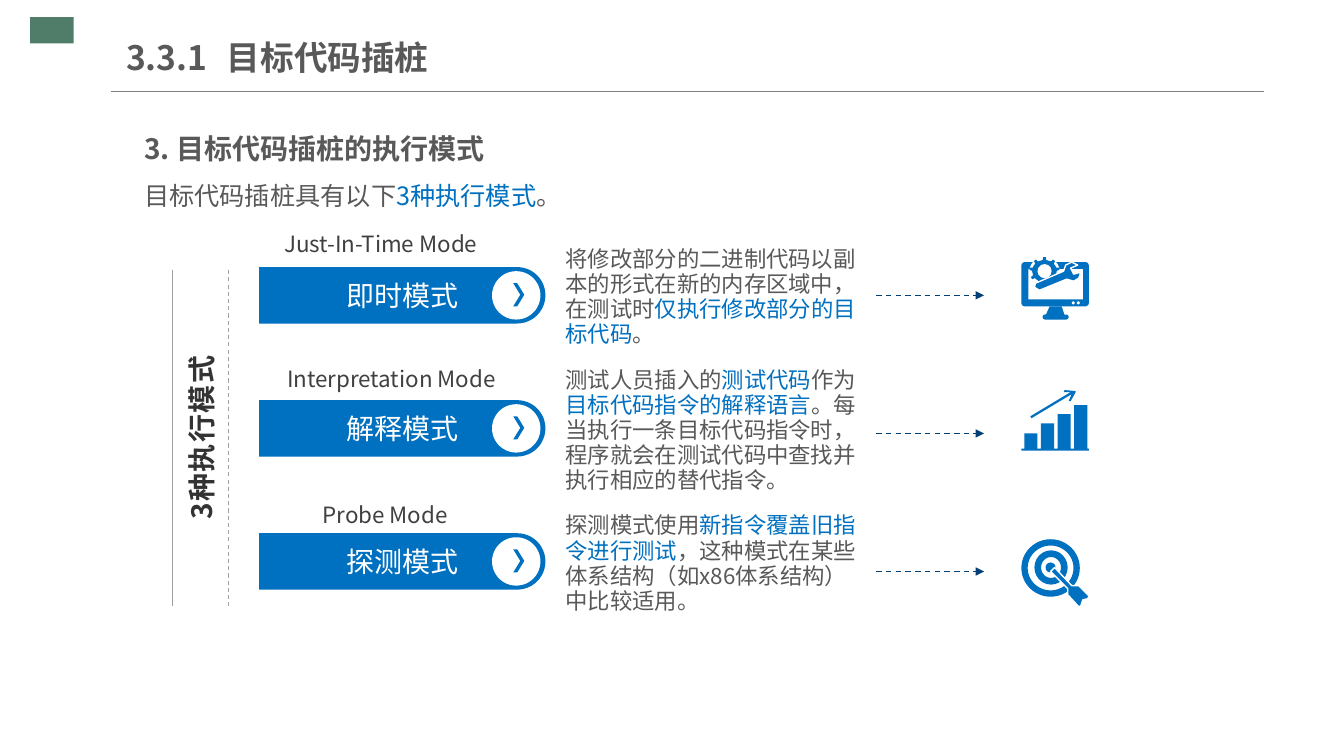
from dataclasses import dataclass
from math import cos, pi, sin
from typing import NamedTuple

from lxml.etree import SubElement
from pptx import Presentation
from pptx.dml.color import RGBColor
from pptx.enum.dml import MSO_LINE
from pptx.enum.shapes import MSO_CONNECTOR, MSO_SHAPE
from pptx.enum.text import MSO_ANCHOR, MSO_AUTO_SIZE, PP_ALIGN
from pptx.oxml.ns import qn
from pptx.util import Inches, Pt


@dataclass(frozen=True)
class Theme:
    font: str = "Noto Sans CJK SC"
    blue: str = "0070C0"
    body: str = "595959"
    label: str = "404040"
    side: str = "333333"
    white: str = "FFFFFF"
    green: str = "4F7D6A"
    rule: str = "808080"
    side_rule: str = "A0A0A0"
    arrow: str = "014076"
    title_size: int = 24
    heading_size: int = 20
    intro_size: int = 18
    text_size: int = 16


THEME = Theme()


class Box(NamedTuple):
    left: float
    top: float
    width: float
    height: float

    def inset(self, left, top, width, height):
        """Return a box placed relative to this one."""
        return Box(self.left + left, self.top + top, width, height)

    def lengths(self):
        return [Inches(value) for value in self]


def paint(shape, fill, outline=None):
    shape.shadow.inherit = False
    shape.fill.solid()
    shape.fill.fore_color.rgb = RGBColor.from_string(fill)
    if outline:
        shape.line.color.rgb = RGBColor.from_string(outline)
        shape.line.width = Pt(1)
    else:
        shape.line.fill.background()


def add_preset(slide, preset, box, fill, adjustment=None):
    shape = slide.shapes.add_shape(preset, *box.lengths())
    if adjustment is not None:
        shape.adjustments[0] = adjustment
    paint(shape, fill)
    return shape


def add_polygons(slide, box, outlines, fill, outline_color=None):
    """Draw closed outlines as one shape; points are relative to the box corner."""
    builder = None
    for outline in outlines:
        start, *rest = [(Inches(box.left + x), Inches(box.top + y)) for x, y in outline]
        if builder is None:
            builder = slide.shapes.build_freeform(*start)
        else:
            builder.move_to(*start)
        builder.add_line_segments(rest, close=True)
    shape = builder.convert_to_shape()
    paint(shape, fill, outline_color)
    return shape


def add_line(slide, start, end, color, width, dashed=False, head=None):
    points = [Inches(value) for value in (*start, *end)]
    connector = slide.shapes.add_connector(MSO_CONNECTOR.STRAIGHT, *points)
    connector.line.color.rgb = RGBColor.from_string(color)
    connector.line.width = Pt(width)
    if dashed:
        connector.line.dash_style = MSO_LINE.DASH
    properties = connector._element.spPr
    if head:
        SubElement(properties.find(qn("a:ln")), qn("a:tailEnd"), type=head)
    SubElement(properties, qn("a:effectLst"))


def set_margins(frame, horizontal, vertical):
    frame.margin_left = frame.margin_right = Inches(horizontal)
    frame.margin_top = frame.margin_bottom = Inches(vertical)


def write(paragraph, pieces, size, color, bold=False, align=PP_ALIGN.LEFT):
    """Fill a paragraph; every second piece is highlighted in blue."""
    paragraph.alignment = align
    font = paragraph.font
    font.size, font.bold = Pt(size), bold
    font.color.rgb = RGBColor.from_string(color)
    font.name = THEME.font
    defaults = paragraph._p.pPr.find(qn("a:defRPr"))
    SubElement(defaults, qn("a:ea"), typeface=THEME.font)
    for index, piece in enumerate(pieces):
        run = paragraph.add_run()
        run.text = piece
        if index % 2:
            run.font.color.rgb = RGBColor.from_string(THEME.blue)
    return defaults


def add_text_frame(slide, box, anchor=MSO_ANCHOR.TOP):
    frame = slide.shapes.add_textbox(*box.lengths()).text_frame
    frame.word_wrap = True
    frame.vertical_anchor = anchor
    return frame


def add_header(slide, box):
    add_preset(slide, MSO_SHAPE.RECTANGLE, Box(0.3, 0.17, 0.43, 0.26), THEME.green)
    add_line(slide, (1.1, 0.91), (12.54, 0.91), THEME.rule, 0.75)
    title = slide.shapes.title
    title.left, title.top, title.width, title.height = box.lengths()
    frame = title.text_frame
    frame.auto_size = MSO_AUTO_SIZE.NONE
    frame.vertical_anchor = MSO_ANCHOR.MIDDLE
    set_margins(frame, 0, 0.07)
    write(frame.paragraphs[0], ["3.3.1\t目标代码插桩"], THEME.title_size, THEME.body, bold=True)


def add_intro(slide, box):
    frame = add_text_frame(slide, box)
    set_margins(frame, 0.13, 0.07)
    heading, sentence = frame.paragraphs[0], frame.add_paragraph()
    write(heading, ["3. 目标代码插桩的执行模式"], THEME.heading_size, THEME.body, True, PP_ALIGN.JUSTIFY)
    write(sentence, ["目标代码插桩具有以下", "3种执行模式", "。"], THEME.intro_size, THEME.body,
          align=PP_ALIGN.JUSTIFY)
    heading.line_spacing = sentence.line_spacing = 1.5


def add_side_title(slide, box):
    bottom = box.top + box.height
    for x, dashed in ((box.left, False), (box.left + box.width, True)):
        add_line(slide, (x, box.top), (x, bottom), THEME.side_rule, 0.75, dashed)
    frame = add_text_frame(slide, box.inset(0.02, 0.34, 0.54, 2.64), MSO_ANCHOR.MIDDLE)
    set_margins(frame, 0, 0)
    frame._txBody.bodyPr.set("vert", "vert270")
    defaults = write(frame.paragraphs[0], ["3种执行模式"], THEME.heading_size, THEME.side, True, PP_ALIGN.CENTER)
    defaults.set("spc", "100")


def add_button(slide, box, text):
    """Draw a bar with a round right end and a chevron badge."""
    radius, steps = box.height / 2, 24
    center = box.width - radius
    angles = [pi * step / steps - pi / 2 for step in range(steps + 1)]
    arc = [(center + radius * cos(angle), radius + radius * sin(angle)) for angle in angles]
    bar = add_polygons(slide, box, [[(0, 0), *arc, (0, box.height)]], THEME.blue)
    set_margins(bar.text_frame, 0, 0)
    bar.text_frame.vertical_anchor = MSO_ANCHOR.MIDDLE
    write(bar.text_frame.paragraphs[0], [text], THEME.heading_size, THEME.white, align=PP_ALIGN.CENTER)
    badge = box.inset(2.31, 0.04, 0.48, 0.48)
    add_preset(slide, MSO_SHAPE.OVAL, badge, THEME.white)
    add_preset(slide, MSO_SHAPE.CHEVRON, badge.inset(0.21, 0.12, 0.11, 0.23), THEME.blue, 0.64)


def add_monitor_icon(slide, box):
    add_preset(slide, MSO_SHAPE.ROUNDED_RECTANGLE, box.inset(0, 0.05, 0.67, 0.44), THEME.blue, 0.08)
    add_preset(slide, MSO_SHAPE.RECTANGLE, box.inset(0.07, 0.12, 0.54, 0.3), THEME.white)
    add_polygons(slide, box, [[(0.28, 0.49), (0.4, 0.49), (0.43, 0.58), (0.24, 0.58)]], THEME.blue)
    add_preset(slide, MSO_SHAPE.ROUNDED_RECTANGLE, box.inset(0.21, 0.57, 0.26, 0.05), THEME.blue, 0.5)
    for x in (0.5, 0.55):
        add_preset(slide, MSO_SHAPE.OVAL, box.inset(x, 0.44, 0.03, 0.03), THEME.white)
    gear = box.inset(0.08, 0, 0.3, 0.28)
    add_preset(slide, MSO_SHAPE.OVAL, gear, THEME.white)
    add_preset(slide, MSO_SHAPE.GEAR_9, gear, THEME.blue)
    add_preset(slide, MSO_SHAPE.OVAL, gear.inset(0.08, 0.07, 0.14, 0.14), THEME.white)
    wrench = [(0.14, 0.26), (0.42, 0.14), (0.44, 0.08), (0.5, 0.05), (0.56, 0.08), (0.49, 0.11), (0.52, 0.17),
              (0.59, 0.15), (0.57, 0.21), (0.52, 0.24), (0.45, 0.22), (0.18, 0.33), (0.13, 0.3)]
    add_polygons(slide, box, [wrench], THEME.blue, THEME.white)


def add_growth_icon(slide, box):
    base, bottom = 0.58, 0.6
    chart = [(0, bottom), (0, base)]
    for index, height in enumerate((0.15, 0.25, 0.34, 0.43)):
        left = 0.03 + 0.165 * index
        right, top = left + 0.13, base - height
        chart += [(left, base), (left, top), (right, top), (right, base)]
    chart += [(0.67, base), (0.67, bottom)]
    arrow = [(0.09, 0.26), (0.49, 0.02), (0.42, 0.02), (0.43, 0), (0.54, 0.01), (0.54, 0.02),
             (0.49, 0.11), (0.47, 0.11), (0.5, 0.04), (0.1, 0.28)]
    add_polygons(slide, box, [chart, arrow], THEME.blue)


def add_target_icon(slide, box):
    add_preset(slide, MSO_SHAPE.DONUT, box.inset(0, 0, 0.58, 0.57), THEME.blue, 0.11)
    add_preset(slide, MSO_SHAPE.DONUT, box.inset(0.13, 0.11, 0.33, 0.34), THEME.blue, 0.2)
    add_preset(slide, MSO_SHAPE.OVAL, box.inset(0.24, 0.23, 0.1, 0.1), THEME.blue)
    dart = [(0.33, 0.28), (0.5, 0.46), (0.57, 0.46), (0.67, 0.56), (0.66, 0.59), (0.61, 0.6), (0.59, 0.66),
            (0.57, 0.67), (0.46, 0.55), (0.46, 0.49), (0.29, 0.32)]
    add_polygons(slide, box, [dart], THEME.blue, THEME.white)


def add_label(slide, box, text):
    write(add_text_frame(slide, box).paragraphs[0], [text], THEME.text_size, THEME.label)


def add_description(slide, box, pieces):
    paragraph = add_text_frame(slide, box, MSO_ANCHOR.MIDDLE).paragraphs[0]
    write(paragraph, pieces, THEME.text_size, THEME.body)
    paragraph.line_spacing = Pt(18)


MODES = [
    ("Just-In-Time Mode", Box(2.72, 2.23, 2.43, 0.37), "即时模式", Box(5.51, 2.46, 3.25, 0.97),
     ["将修改部分的二进制代码以副本的形式在新的内存区域中，在测试时", "仅执行修改部分的目标代码", "。"],
     add_monitor_icon, 2.55),
    ("Interpretation Mode", Box(2.75, 3.57, 2.49, 0.37), "解释模式", Box(5.51, 3.87, 3.18, 0.8),
     ["测试人员插入的", "测试代码", "作为", "目标代码指令的解释语言",
      "。每当执行一条目标代码指令时，程序就会在测试代码中查找并执行相应的替代指令。"],
     add_growth_icon, 3.87),
    ("Probe Mode", Box(3.1, 4.92, 1.59, 0.37), "探测模式", Box(5.51, 5.08, 3.18, 1.02),
     ["探测模式使用", "新指令覆盖旧指令进行测试", "，这种模式在某些体系结构（如x86体系结构）中比较适用。"],
     add_target_icon, 5.35),
]


def add_modes(slide, box):
    for index, (label, label_box, name, text_box, pieces, add_icon, icon_top) in enumerate(MODES):
        add_button(slide, box.inset(0, 1.32 * index, 2.84, 0.56), name)
        add_label(slide, label_box, label)
        add_description(slide, text_box, pieces)
        arrow_top = box.top + 0.28 + 1.37 * index
        add_line(slide, (8.69, arrow_top), (9.76, arrow_top), THEME.arrow, 1, True, "triangle")
        add_icon(slide, Box(10.13, icon_top, 0.67, 0.67))


def main():
    presentation = Presentation()
    presentation.slide_width, presentation.slide_height = Inches(13.33), Inches(7.5)
    slide = presentation.slides.add_slide(presentation.slide_layouts[5])
    add_header(slide, Box(1.25, 0.29, 4.26, 0.55))
    add_intro(slide, Box(1.3, 1.07, 10.72, 1.09))
    add_side_title(slide, Box(1.71, 2.68, 0.56, 3.33))
    add_modes(slide, Box(2.57, 2.65, 8.23, 3.21))
    presentation.save("out.pptx")


if __name__ == "__main__":
    main()
